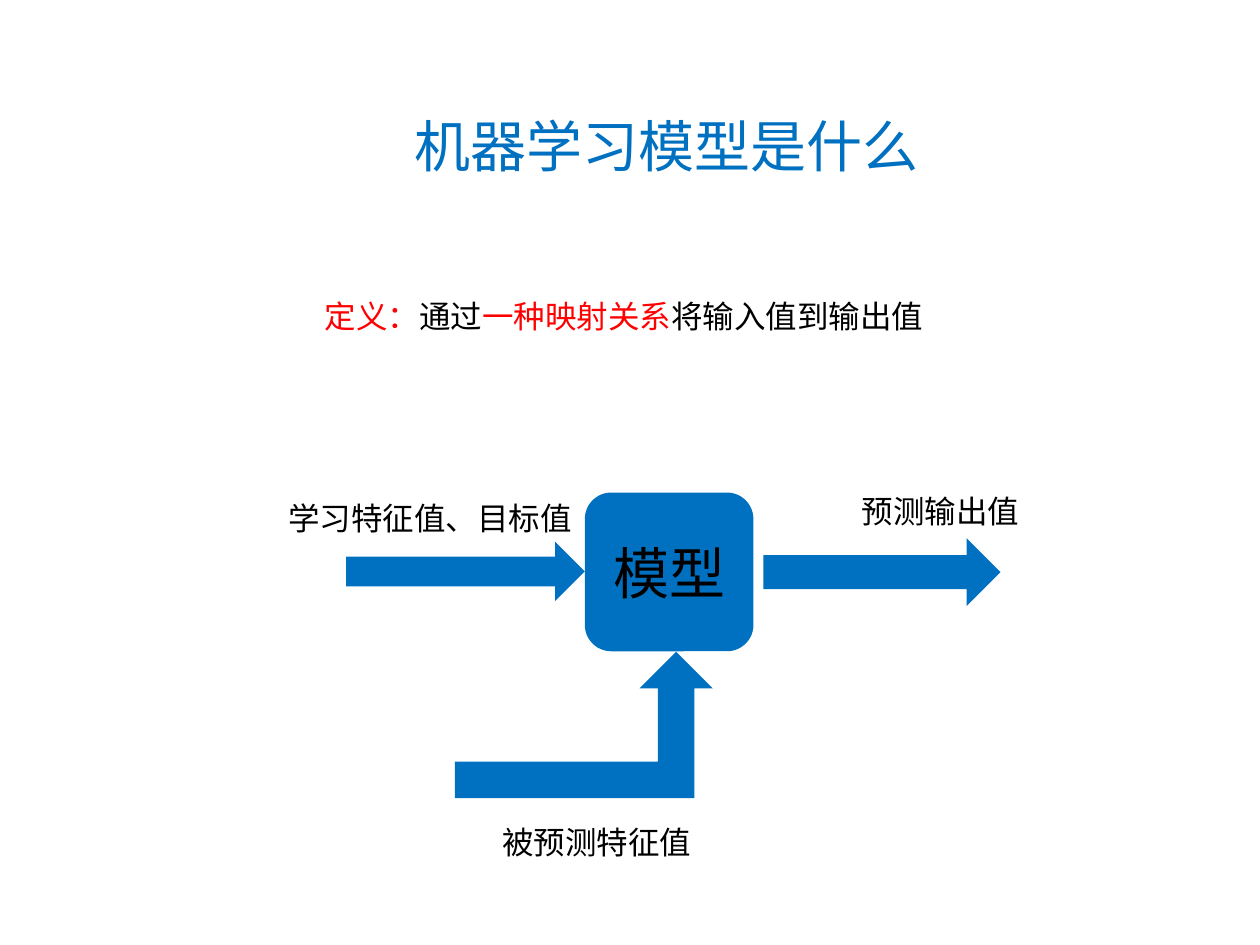
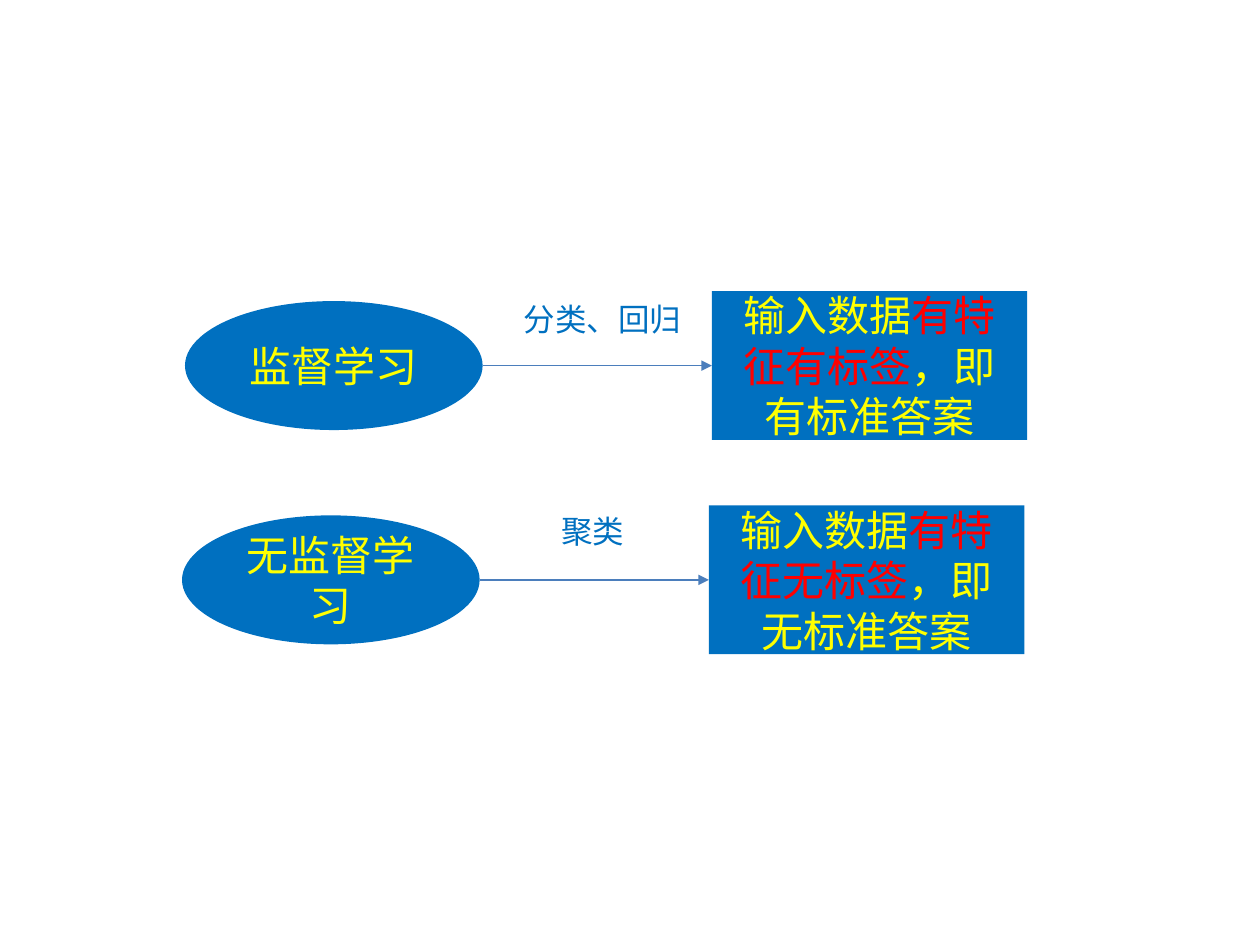
from pptx import Presentation
from pptx.dml.color import RGBColor
from pptx.enum.shapes import MSO_CONNECTOR, MSO_SHAPE
from pptx.enum.text import MSO_ANCHOR, MSO_AUTO_SIZE, PP_ALIGN
from pptx.oxml.ns import qn
from pptx.util import Cm, Pt
from lxml import etree

COLORS = {"blue": "0070C0", "red": "FF0000", "yellow": "FFFF00",
          "black": "000000", "line": "4B7EBC"}
FONT = "Calibri"


def write(sp, size, runs, align=PP_ALIGN.LEFT, anchor=MSO_ANCHOR.TOP, wrap=False):
    """Fill the shape's single paragraph with (text, colour) runs."""
    tf = sp.text_frame
    tf.word_wrap = wrap
    tf.auto_size = MSO_AUTO_SIZE.NONE
    tf.vertical_anchor = anchor
    p = tf.paragraphs[0]
    p.alignment = align
    for text, color in runs:
        r = p.add_run()
        r.text = text
        r.font.name = FONT
        r.font.size = Pt(size)
        r.font.color.rgb = RGBColor.from_string(COLORS[color])


def add_block(s, kind, box, size=18, runs=()):
    """Add a plain blue shape with centred text."""
    sp = s.shapes.add_shape(kind, *[Cm(v) for v in box])
    sp.shadow.inherit = False
    sp.fill.solid()
    sp.fill.fore_color.rgb = RGBColor.from_string(COLORS["blue"])
    sp.line.fill.background()
    write(sp, size, runs, PP_ALIGN.CENTER, MSO_ANCHOR.MIDDLE, True)
    return sp


prs = Presentation()
prs.slide_width, prs.slide_height = Cm(25.4), Cm(19.05)

# Slide 1: what a model is
s = prs.slides.add_slide(prs.slide_layouts[5])
title = s.shapes.title
title.left, title.top, title.width, title.height = Cm(8.1), Cm(2.13), Cm(10.77), Cm(1.63)
write(title, 32, [("机器学习模型是什么", "blue")])

# Model box and its arrows
add_block(s, MSO_SHAPE.ROUNDED_RECTANGLE, (11.79, 9.93, 3.4, 3.2), 32, [("模型", "black")])
for kind, box in [
    (MSO_SHAPE.RIGHT_ARROW, (6.98, 10.92, 4.81, 1.2)),
    (MSO_SHAPE.BENT_UP_ARROW, (9.17, 13.14, 5.2, 2.95)),
    (MSO_SHAPE.RIGHT_ARROW, (15.39, 10.85, 4.78, 1.37)),
]:
    add_block(s, kind, box)

# Definition and arrow labels
for x, y, w, runs in [
    (6.3, 5.87, 12.7, [("定义：", "red"), ("通过", "black"),
                       ("一种映射关系", "red"), ("将输入值到输出值", "black")]),
    (5.56, 9.93, 6.5, [("学习特征值、目标值", "black")]),
    (9.88, 16.46, 4.37, [("被预测特征值", "black")]),
    (17.12, 9.8, 3.81, [("预测输出值", "black")]),
]:
    write(s.shapes.add_textbox(Cm(x), Cm(y), Cm(w), Cm(1.02)), 18, runs)

# Slide 2: supervised and unsupervised learning
s = prs.slides.add_slide(prs.slide_layouts[6])
for x, y, learning, feature, answer, method, label_x, label_y, label_w in [
    (3.73, 6.07, "监督学习", "有特征有标签", "，即有标准答案", "分类、回归", 10.31, 5.92, 3.71),
    (3.67, 10.39, "无监督学习", "有特征无标签", "，即无标准答案", "聚类", 11.07, 10.19, 1.8),
]:
    add_block(s, MSO_SHAPE.OVAL, (x, y, 6, 2.6), 24, [(learning, "yellow")])
    data = add_block(s, MSO_SHAPE.RECTANGLE, (x + 10.62, y - 0.2, 6.36, 3), 24,
                     [("输入数据", "yellow"), (feature, "red"), (answer, "yellow")])

    # Arrow from the oval to the data box
    mid = Cm(y + 1.3)
    cn = s.shapes.add_connector(MSO_CONNECTOR.STRAIGHT, Cm(x + 6), mid, data.left, mid)
    cn.end_connect(data, 1)
    cn.line.width = Pt(0.75)
    cn.line.color.rgb = RGBColor.from_string(COLORS["line"])
    etree.SubElement(cn.line._get_or_add_ln(), qn("a:tailEnd"), type="triangle")
    etree.SubElement(cn._element.spPr, qn("a:effectLst"))

    label = s.shapes.add_textbox(Cm(label_x), Cm(label_y), Cm(label_w), Cm(1.02))
    write(label, 18, [(method, "blue")])

prs.save("out.pptx")
